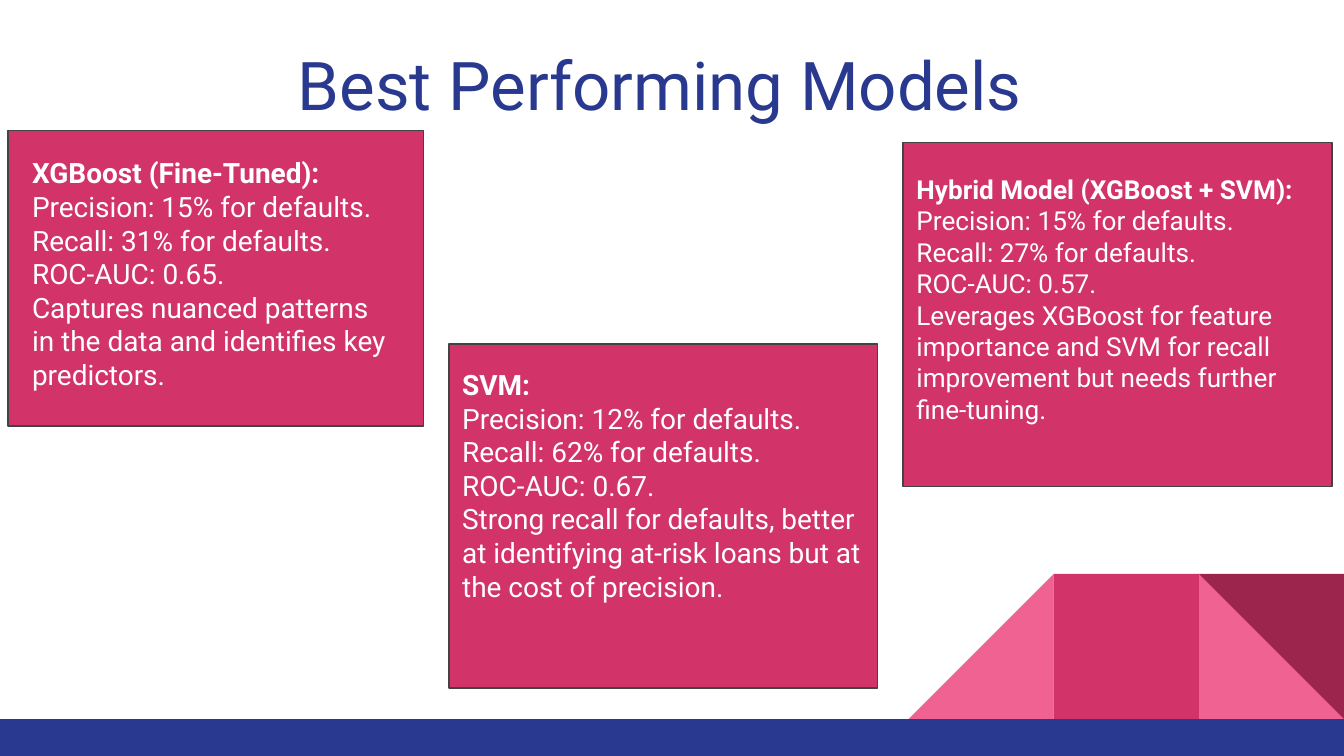
import pptx
import pptx.dml.color
import pptx.enum.shapes
import pptx.enum.text
import pptx.shapes.autoshape
import pptx.slide
import pptx.text.text
import pptx.util
from dataclasses import dataclass

COLS, ROWS = 100, 56.25
CELL = 0.1
FONT = "Roboto"
HUES = {
    "navy": "2A3990",
    "rose": "D23369",
    "pink": "F06292",
    "wine": "9C254D",
    "edge": "434343",
    "white": "FFFFFF",
}
KIND = pptx.enum.shapes.MSO_SHAPE
ANCHOR = pptx.enum.text.MSO_ANCHOR
ALIGN = pptx.enum.text.PP_ALIGN


@dataclass(frozen=True)
class Box:
    col: float
    row: float
    wide: float
    high: float


@dataclass(frozen=True)
class Tile:
    kind: KIND
    step: int
    hue: str
    turn: int = 0


@dataclass(frozen=True)
class Model:
    card: Box
    text: Box
    name: str
    scores: tuple[int, int, str]
    note: str
    size: int
    low: float = 1


SIDE = 10.8
FLOOR = 53.5
TILES = (
    Tile(KIND.RIGHT_TRIANGLE, 1, "pink"),
    Tile(KIND.RIGHT_TRIANGLE, 3, "pink", 270),
    Tile(KIND.RECTANGLE, 2, "rose"),
    Tile(KIND.RIGHT_TRIANGLE, 1, "wine", 180),
)
MID = Box(33.4, 25.6, 31.9, 25.6)
LAST = Box(67.2, 10.6, 31.9, 25.6)
MODELS = (
    Model(Box(0.6, 9.7, 30.9, 22), Box(1.4, 10.6, 29, 20.1),
          "XGBoost (Fine-Tuned):", (15, 31, "0.65"),
          "Captures nuanced patterns in the data and identifies key predictors.",
          15),
    Model(MID, MID, "SVM:", (12, 62, "0.67"),
          "Strong recall for defaults, better at identifying at-risk loans "
          "but at the cost of precision.", 15, 5.6),
    Model(LAST, LAST, "Hybrid Model (XGBoost + SVM):", (15, 27, "0.57"),
          "Leverages XGBoost for feature importance and SVM for recall "
          "improvement but needs further fine-tuning.", 14, 3.3),
)


def span(cells: float) -> pptx.util.Length:
    return pptx.util.Inches(cells * CELL)


def place(box: Box) -> tuple[pptx.util.Length, ...]:
    return tuple(span(n) for n in (box.col, box.row, box.wide, box.high))


def tint(hue: str) -> pptx.dml.color.RGBColor:
    return pptx.dml.color.RGBColor.from_string(HUES[hue])


def draw(slide: pptx.slide.Slide, kind: KIND, box: Box, hue: str,
         edge: bool = False) -> pptx.shapes.autoshape.Shape:
    shape = slide.shapes.add_shape(kind, *place(box))
    shape.shadow.inherit = False
    shape.fill.solid()
    shape.fill.fore_color.rgb = tint(hue)
    if edge:
        shape.line.color.rgb = tint("edge")
        shape.line.width = pptx.util.Pt(0.75)
    else:
        shape.line.fill.background()
    return shape


def write(frame: pptx.text.text.TextFrame, lines: list[str], size: int,
          hue: str, align: ALIGN, anchor: ANCHOR, top: float = 1,
          low: float = 1) -> None:
    frame.word_wrap = True
    frame.vertical_anchor = anchor
    frame.margin_left = frame.margin_right = span(1)
    frame.margin_top, frame.margin_bottom = span(top), span(low)
    frame.text = "\n".join(lines)
    for para in frame.paragraphs:
        para.alignment = align
        para.font.name = FONT
        para.font.size = pptx.util.Pt(size)
        para.font.color.rgb = tint(hue)


def show(slide: pptx.slide.Slide, model: Model) -> None:
    shape = draw(slide, KIND.RECTANGLE, model.card, "rose", True)
    anchor = ANCHOR.MIDDLE
    if model.text != model.card:
        shape = slide.shapes.add_textbox(*place(model.text))
        anchor = ANCHOR.TOP
    hit, found, area = model.scores
    lines = [
        model.name,
        f"Precision: {hit}% for defaults.",
        f"Recall: {found}% for defaults.",
        f"ROC-AUC: {area}.",
        model.note,
    ]
    write(shape.text_frame, lines, model.size, "white", ALIGN.LEFT, anchor,
          low=model.low)
    shape.text_frame.paragraphs[0].font.bold = True


def main() -> None:
    deck = pptx.Presentation()
    deck.slide_width, deck.slide_height = span(COLS), span(ROWS)
    slide = deck.slides.add_slide(deck.slide_layouts[6])
    for tile in TILES:
        box = Box(COLS - tile.step * SIDE, FLOOR - SIDE, SIDE, SIDE)
        draw(slide, tile.kind, box, tile.hue).rotation = tile.turn
    draw(slide, KIND.RECTANGLE, Box(0, FLOOR, COLS, ROWS - FLOOR), "navy")
    title = slide.shapes.add_textbox(*place(Box(2.5, 1.9, 93.2, 6.6)))
    write(title.text_frame, ["Best Performing Models"], 36, "navy",
          ALIGN.CENTER, ANCHOR.TOP, top=1.3, low=0)
    for model in MODELS:
        show(slide, model)
    deck.save("out.pptx")


if __name__ == "__main__":
    main()
